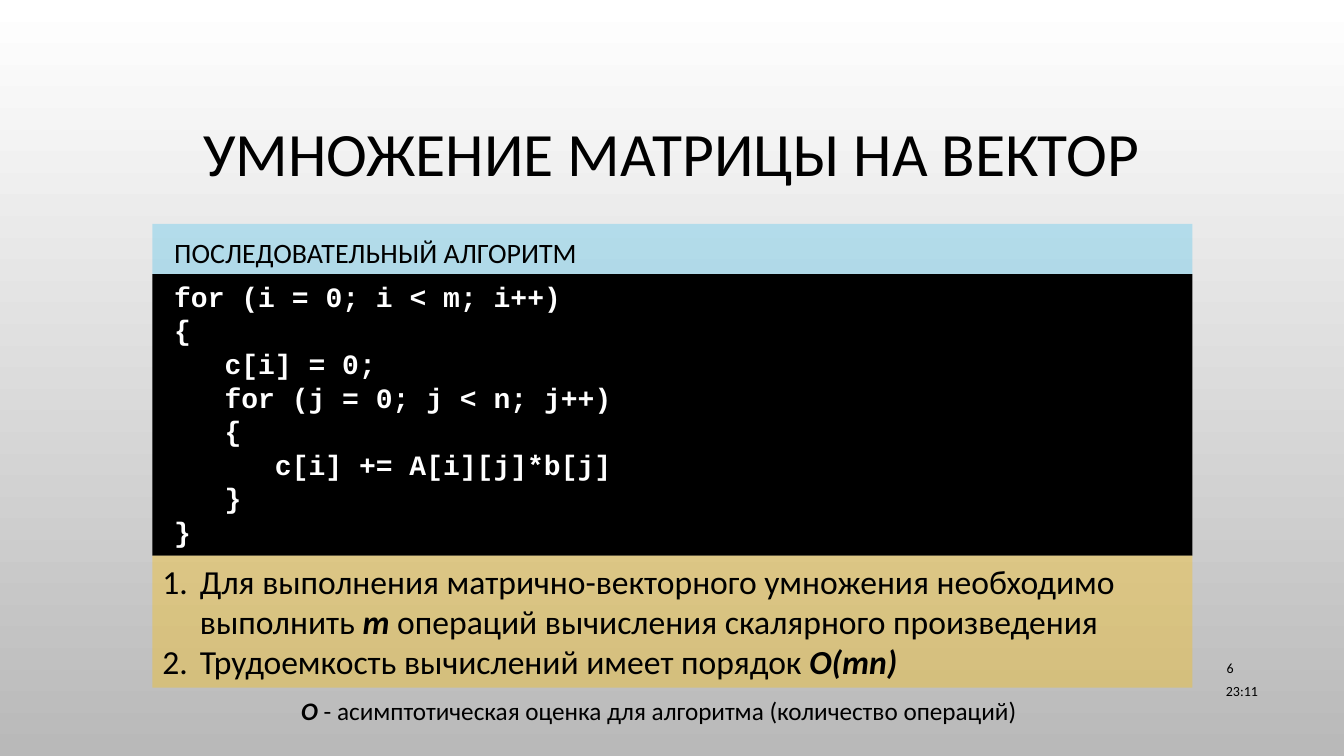
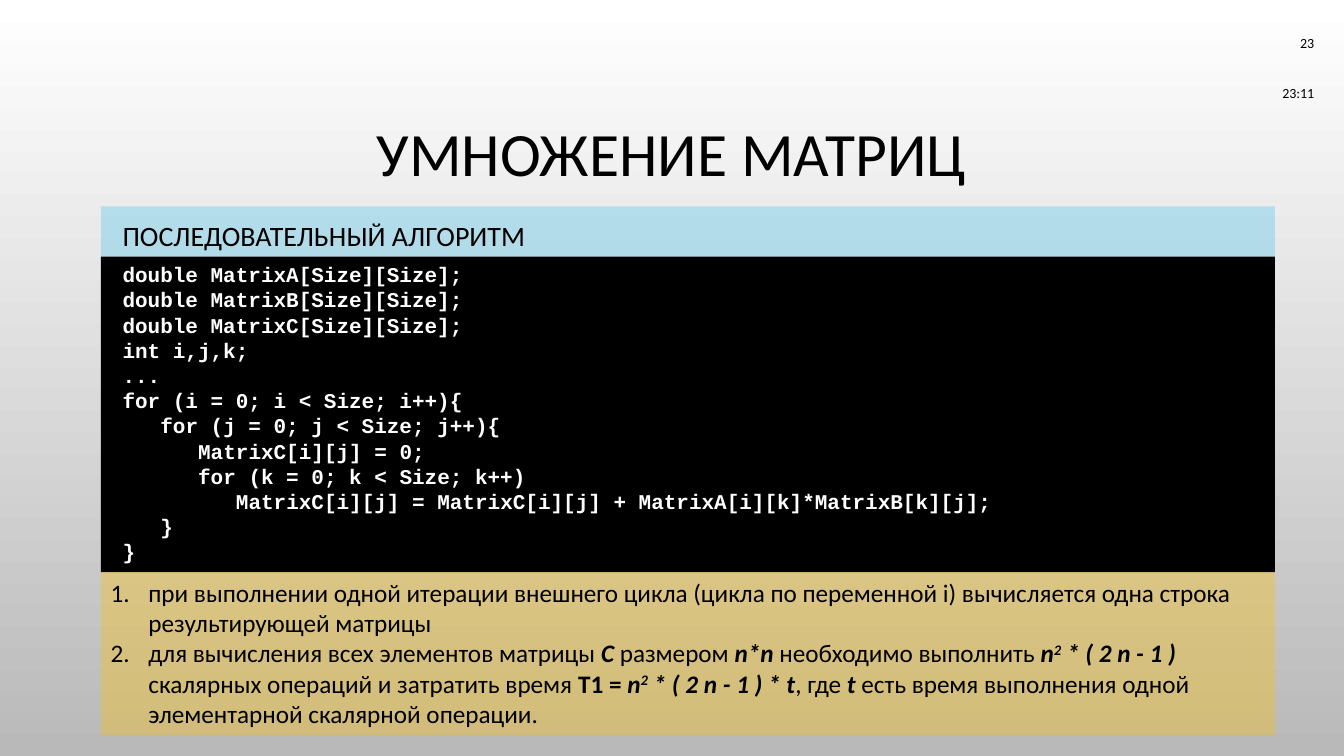
from lxml import etree
from pptx import Presentation
from pptx.dml.color import RGBColor
from pptx.enum.shapes import MSO_SHAPE
from pptx.enum.text import MSO_ANCHOR, PP_ALIGN
from pptx.oxml.ns import qn
from pptx.util import Cm, Pt

RECT = MSO_SHAPE.RECTANGLE
TOP, MIDDLE = MSO_ANCHOR.TOP, MSO_ANCHOR.MIDDLE
LEFT, CENTER, RIGHT = PP_ALIGN.LEFT, PP_ALIGN.CENTER, PP_ALIGN.RIGHT


def rgb(value):
    return RGBColor.from_string(value)


class Deck:
    """Shared style and the slide being filled."""
    FONT, CODE_FONT = "Calibri", "Courier New"
    BLACK, WHITE, GREY = "000000", "FFFFFF", "B9B9B9"
    BLUE, GOLD = "00B0F0", "FFC000"
    INDENT = Cm(0.3)
    HANGING = Cm(0.95)
    HEADER_H = 1.27
    STAMP_W, LINE_H = 2.13, 1.02

    def __init__(self):
        self.prs = Presentation()
        self.prs.slide_width, self.prs.slide_height = Cm(33.87), Cm(19.05)
        self.s = None

    def slide(self, title):
        self.s = self.prs.slides.add_slide(self.prs.slide_layouts[6])
        fill = self.s.background.fill
        fill.gradient()
        fill.gradient_angle = 270
        for stop, color in zip(fill.gradient_stops, (self.WHITE, self.GREY)):
            stop.color.rgb = rgb(color)
        p = self.line(2.54, 1.73, 28.78, 4.45, title, 44, CENTER)
        p.line_spacing = 0.9

    # Basic elements
    def style(self, r, size, color=BLACK, font=FONT, marks=""):
        """Marks: b for bold, i for italic, ^ for superscript."""
        r.font.size, r.font.name = Pt(size), font
        r.font.color.rgb = rgb(color)
        r.font.bold, r.font.italic = "b" in marks, "i" in marks
        if "^" in marks:
            r.font._element.set("baseline", "30000")

    def box(self, x, y, w, h, anchor=TOP):
        tf = self.s.shapes.add_textbox(Cm(x), Cm(y), Cm(w), Cm(h)).text_frame
        tf.word_wrap, tf.vertical_anchor = True, anchor
        return tf

    def line(self, x, y, w, h, text, size, align):
        p = self.box(x, y, w, h, MIDDLE).paragraphs[0]
        p.text, p.alignment = text, align
        self.style(p.runs[0], size)
        return p

    def panel(self, x, y, w, h, color, opacity=100):
        sp = self.s.shapes.add_shape(RECT, Cm(x), Cm(y), Cm(w), Cm(h))
        sp.shadow.inherit = False
        sp.fill.solid()
        sp.fill.fore_color.rgb = rgb(color)
        sp.line.fill.background()
        if opacity < 100:
            clr = next(sp._element.spPr.iter(qn("a:srgbClr")))
            etree.SubElement(clr, qn("a:alpha"), val=str(opacity * 1000))
        tf = sp.text_frame
        tf.word_wrap, tf.vertical_anchor = True, TOP
        return tf

    def paragraph(self, tf, index, margin, hanging=0):
        p = tf.add_paragraph() if index else tf.paragraphs[0]
        p.alignment = LEFT
        pPr = p._p.get_or_add_pPr()
        pPr.set("marL", str(int(margin)))
        pPr.set("indent", str(-int(hanging)))
        return p

    def rich(self, p, parts, size):
        for text, marks in parts:
            r = p.add_run()
            r.text = text
            self.style(r, size, marks=marks)

    # Parts of the algorithm block
    def header(self, x, y, w, text):
        tf = self.panel(x, y, w, self.HEADER_H, self.BLUE, 23)
        p = self.paragraph(tf, 0, self.INDENT)
        p.text, p.line_spacing, p.space_before = text, 1.2, Pt(10)
        self.style(p.runs[0], 20)

    def code(self, x, y, w, h, rows, size):
        tf = self.panel(x, y, w, h, self.BLACK)
        step = Pt(size * 0.6 * 3)  # three characters per level
        for n, (level, text) in enumerate(rows):
            p = self.paragraph(tf, n, self.INDENT + level * step)
            p.text = text
            self.style(p.runs[0], size, self.WHITE, self.CODE_FONT, "b")

    def notes(self, x, y, w, h, items, size):
        tf = self.panel(x, y, w, h, self.GOLD, 34)
        for n, parts in enumerate(items):
            p = self.paragraph(tf, n, self.HANGING, self.HANGING)
            etree.SubElement(p._p.get_or_add_pPr(), qn("a:buAutoNum"),
                             type="arabicPeriod")
            self.rich(p, parts, size)

    def algorithm(self, x, y, w, rows, code_h, code_size,
                  items, notes_h, notes_size):
        code_y = y + self.HEADER_H
        self.header(x, y, w, "ПОСЛЕДОВАТЕЛЬНЫЙ АЛГОРИТМ")
        self.code(x, code_y, w, code_h, rows, code_size)
        self.notes(x, code_y + code_h, w, notes_h, items, notes_size)

    def footnote(self, x, y, w, parts):
        p = self.box(x, y, w, self.LINE_H).paragraphs[0]
        self.rich(p, parts, 18)

    def stamp(self, right, y, text):
        self.line(right - self.STAMP_W, y, self.STAMP_W, self.LINE_H,
                  text, 10, RIGHT)


VECTOR_CODE = [
    (0, "for (i = 0; i < m; i++)"),
    (0, "{"),
    (1, "c[i] = 0;"),
    (1, "for (j = 0; j < n; j++)"),
    (1, "{"),
    (2, "c[i] += A[i][j]*b[j]"),
    (1, "}"),
    (0, "}"),
]
VECTOR_NOTES = [
    [("Для выполнения матрично-векторного умножения необходимо выполнить ", ""),
     ("m", "bi"),
     (" операций вычисления скалярного произведения", "")],
    [("Трудоемкость вычислений имеет порядок ", ""), ("O(mn)", "bi")],
]
MATRIX_CODE = [
    (0, "double MatrixA[Size][Size];"),
    (0, "double MatrixB[Size][Size];"),
    (0, "double MatrixC[Size][Size];"),
    (0, "int i,j,k;"),
    (0, "..."),
    (0, "for (i = 0; i < Size; i++){"),
    (1, "for (j = 0; j < Size; j++){"),
    (2, "MatrixC[i][j] = 0;"),
    (2, "for (k = 0; k < Size; k++)"),
    (3, "MatrixC[i][j] = MatrixC[i][j] + MatrixA[i][k]*MatrixB[k][j];"),
    (1, "}"),
    (0, "}"),
]
MATRIX_NOTES = [
    [("при выполнении одной итерации внешнего цикла (цикла по переменной i) "
      "вычисляется одна строка результирующей матрицы", "")],
    [("для вычисления всех элементов матрицы ", ""), ("С", "bi"),
     (" размером ", ""), ("n*n", "bi"), (" необходимо выполнить ", ""),
     ("n", "bi"), ("2", "bi^"), (" * ( 2 n - 1 ) ", "bi"),
     ("скалярных операций и затратить время ", ""), ("T1 = ", "b"),
     ("n", "bi"), ("2", "bi^"), (" * ( 2 n - 1 ) * t", "bi"),
     (", где ", ""), ("t", "bi"),
     (" есть время выполнения одной элементарной скалярной операции.", "")],
]


def main():
    deck = Deck()

    # Matrix by vector
    deck.slide("УМНОЖЕНИЕ МАТРИЦЫ НА ВЕКТОР")
    deck.algorithm(3.84, 5.64, 26.21, VECTOR_CODE, 7.09, 20,
                   VECTOR_NOTES, 3.33, 24)
    deck.footnote(7.34, 17.4, 19, [
        ("O", "bi"),
        (" - асимптотическая оценка для алгоритма (количество операций)", "")])
    deck.stamp(31.95, 16.89, "23:11")
    deck.stamp(31.34, 16.33, "6")

    # Matrix by matrix
    deck.slide("УМНОЖЕНИЕ МАТРИЦ")
    deck.algorithm(2.54, 5.2, 29.59, MATRIX_CODE, 7.95, 15,
                   MATRIX_NOTES, 4.11, 18)
    deck.stamp(33.37, 1.83, "23:11")
    deck.stamp(33.37, 0.58, "23")

    deck.prs.save("out.pptx")


if __name__ == "__main__":
    main()
